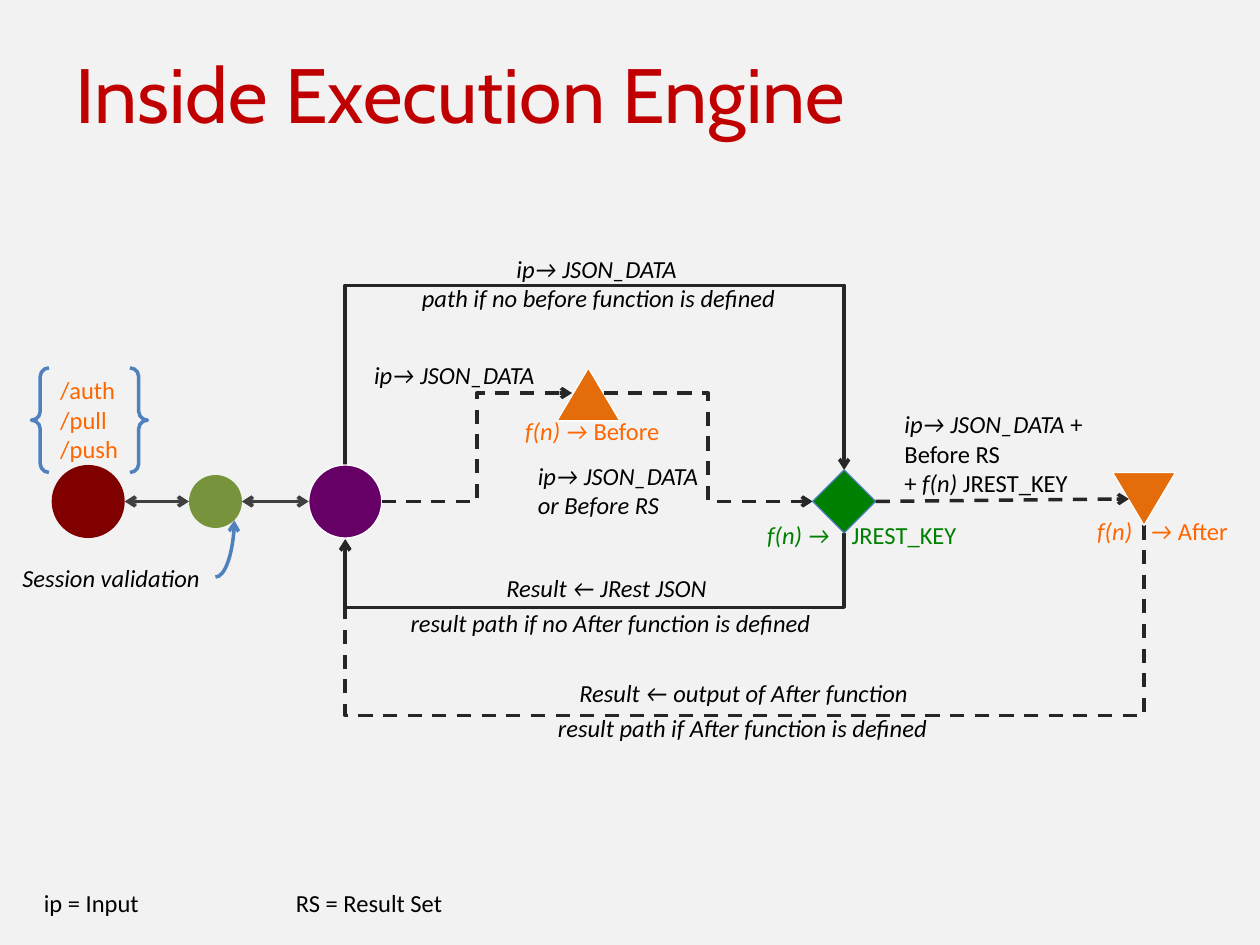
from dataclasses import dataclass
from lxml.etree import SubElement
from pptx import Presentation
from pptx.dml.color import RGBColor
from pptx.enum.dml import MSO_LINE
from pptx.enum.shapes import MSO_CONNECTOR, MSO_SHAPE
from pptx.enum.text import MSO_ANCHOR, MSO_AUTO_SIZE, PP_ALIGN
from pptx.oxml.ns import qn
from pptx.util import Inches, Pt

INK = {
    "page": "F2F2F2", "title": "C00000", "text": "000000", "call": "FF6600",
    "key": "008000", "auth": "800000", "check": "77933C", "core": "660066",
    "hook": "E46C0A", "edge": "FFFFFF", "rim": "4B7EBC", "brace": "4F81BD",
    "wire": "262626", "link": "404040",
}
COLS, ROWS = 100, 75
WIDE, HIGH = Inches(10), Inches(7.5)


def hue(name):
    return RGBColor.from_string(INK[name])


def col(n):
    return round(WIDE * n / COLS)


def row(n):
    return round(HIGH * n / ROWS)


@dataclass
class Box:
    shapes: object
    left: float
    top: float

    def spot(self, x, y):
        return col(self.left + x), row(self.top + y)

    def node(self, kind, x, y, w, h, fill=None, edge=None, width=0.75):
        shape = self.shapes.add_shape(kind, *self.spot(x, y), col(w), row(h))
        shape.shadow.inherit = False
        if fill:
            shape.fill.solid()
            shape.fill.fore_color.rgb = hue(fill)
        else:
            shape.fill.background()
        if edge:
            shape.line.color.rgb = hue(edge)
            shape.line.width = Pt(width)
        else:
            shape.line.fill.background()
        return shape

    def text(self, x, y, w, h, lines, color="text", wrap=False, italic=True, stop=None):
        frame = self.shapes.add_textbox(*self.spot(x, y), col(w), row(h)).text_frame
        frame.word_wrap = wrap
        frame.auto_size = MSO_AUTO_SIZE.SHAPE_TO_FIT_TEXT
        for i, line in enumerate(lines):
            para = frame.add_paragraph() if i else frame.paragraphs[0]
            if stop:
                tabs = SubElement(para._p.get_or_add_pPr(), qn("a:tabLst"))
                SubElement(tabs, qn("a:tab"), pos=str(col(stop)), algn="l")
            font = para.font
            font.name, font.size, font.color.rgb = "Calibri", Pt(14), hue(color)
            if isinstance(line, str):
                font.italic = italic
                para.add_run().text = line
            else:
                for words, slant in line:
                    run = para.add_run()
                    run.text, run.font.italic = words, slant

    def wire(self, start, end, kind=MSO_CONNECTOR.STRAIGHT, color="wire", dash=False, both=False):
        line = self.shapes.add_connector(kind, *self.spot(*start), *self.spot(*end))
        line.line.color.rgb = hue(color)
        line.line.width = Pt(2)
        if dash:
            line.line.dash_style = MSO_LINE.DASH
        props = line._element.spPr
        stroke = props.find(qn("a:ln"))
        if both:
            SubElement(stroke, qn("a:headEnd"), type="arrow")
        SubElement(stroke, qn("a:tailEnd"), type="arrow")
        SubElement(props, qn("a:effectLst"))
        return line

    def loop(self, start, end, rail, dash=False):
        (x1, y1), (x2, y2) = start, end
        midx, midy = (x1 + x2) / 2, (y1 + y2) / 2
        w, h = y2 - y1, abs(x2 - x1)
        right = x2 > x1
        side = w / 2 if right else -w / 2
        line = self.wire((midx + side, midy - h / 2), (midx - side, midy + h / 2),
                         MSO_CONNECTOR.ELBOW, dash=dash)
        props = line._element.spPr
        props.find(qn("a:xfrm")).set("rot", str((270 if right else 90) * 60000))
        guides = props.find(qn("a:prstGeom")).find(qn("a:avLst"))
        share = round((rail - y1) / w * 100000)
        SubElement(guides, qn("a:gd"), name="adj1", fmla=f"val {share}")


def head(slide, x, y, w, h):
    title = slide.shapes.title
    title.left, title.top, title.width, title.height = col(x), row(y), col(w), row(h)
    frame = title.text_frame
    frame.text = "Inside Execution Engine"
    frame.vertical_anchor = MSO_ANCHOR.MIDDLE
    para = frame.paragraphs[0]
    para.alignment = PP_ALIGN.LEFT
    para.font.name, para.font.size, para.font.color.rgb = "Cabin", Pt(44), hue("title")


def entry(box):
    mid = 10.6
    for x, size, fill, edge in ((4.1, 5.8, "auth", None), (15, 4.2, "check", None),
                                (24.5, 5.8, "core", "edge")):
        box.node(MSO_SHAPE.OVAL, x, mid - size / 2, size, size, fill, edge)
    for x1, x2 in ((9.9, 15), (19.2, 24.5)):
        box.wire((x1, mid), (x2, mid), color="link", both=True)
    group = Box(box.shapes.add_group_shape().shapes, box.left, box.top)
    group.node(MSO_SHAPE.DOUBLE_BRACE, 2.5, 0, 9.2, 8.3, edge="brace", width=2)
    group.text(3.8, 0.1, 6.6, 8.1, ["/auth", "/pull", "/push"], "call", italic=False)
    box.text(0.8, 15, 16.3, 3.4, ["Session validation"])
    curve = box.wire((17.1, 16.6), (18.6, 12.1), MSO_CONNECTOR.CURVE, "brace")
    curve._element.spPr.find(qn("a:prstGeom")).set("prst", "curvedConnector2")


def before(box):
    box.node(MSO_SHAPE.ISOSCELES_TRIANGLE, 13.9, 0, 5, 4.2, "hook", "edge")
    for start, end in (((0, 10.6), (15.1, 2)), ((17.6, 2), (34.2, 10.6))):
        box.wire(start, end, MSO_CONNECTOR.ELBOW, dash=True)
    box.text(10.4, 3.3, 13.1, 3.4, [[("f(n) → ", True), ("Before", False)]], "call")
    box.text(-1.6, -1.1, 15.5, 3.4, ["ip→ JSON_DATA"])
    box.text(11.4, 6.9, 15.5, 5.7, ["ip→ JSON_DATA or Before RS"], wrap=True)


def after(box):
    box.node(MSO_SHAPE.DIAMOND, 0, 0, 5, 5, "key", "rim")
    flip = box.node(MSO_SHAPE.ISOSCELES_TRIANGLE, 23.8, 0.2, 5, 4.2, "hook", "edge")
    flip._element.spPr.find(qn("a:xfrm")).set("flipV", "1")
    box.wire((5, 2.5), (25.1, 2.3), dash=True)
    box.text(-4.6, 3.5, 17.6, 3.4, [[("f(n) →\t", True), ("JREST_KEY", False)]],
             "key", stop=6.7)
    box.text(21.6, 3.2, 13.1, 3.4, [[("f(n)\t→ ", True), ("After", False)]],
             "call", stop=4.2)
    box.text(6.3, -5.3, 16.7, 8.1, [
        [("ip→ JSON_DATA ", True), ("+ Before RS", False)],
        [("+ ", False), ("f(n) ", True), ("JREST_KEY", False)]], wrap=True)


def loops(box):
    box.loop((0, 14.2), (39.6, 14.6), 0)
    box.loop((39.6, 19.6), (0, 20.1), 25.5)
    box.loop((63.4, 19), (0, 20.1), 34.1, dash=True)
    for x, y, w, words in (
        (12.6, -3, 15.5, "ip→ JSON_DATA"),
        (5.1, -0.7, 30.7, "path if no before function is defined"),
        (11.8, 22.3, 18.8, "Result ← JRest JSON"),
        (4.2, 25.1, 34.8, "result path if no After function is defined"),
        (17.6, 30.6, 28.6, "Result ← output of After function"),
        (15.9, 33.4, 32.3, "result path if After function is defined"),
    ):
        box.text(x, y, w, 3.4, [words])


def legend(box):
    box.text(0, 0, 36.7, 3.4, ["ip = Input\tRS = Result Set"], wrap=True, italic=False, stop=20)


def main():
    deck = Presentation()
    deck.slide_width, deck.slide_height = WIDE, HIGH
    slide = deck.slides.add_slide(deck.slide_layouts[5])
    slide.background.fill.solid()
    slide.background.fill.fore_color.rgb = hue("page")
    head(slide, 5, 3, 90, 8.7)
    for draw, x, y in ((loops, 27.4, 22.7), (entry, 0, 29.2), (before, 30.3, 29.2),
                       (after, 64.5, 37.3), (legend, 2.5, 70)):
        draw(Box(slide.shapes, x, y))
    deck.save("out.pptx")


if __name__ == "__main__":
    main()
